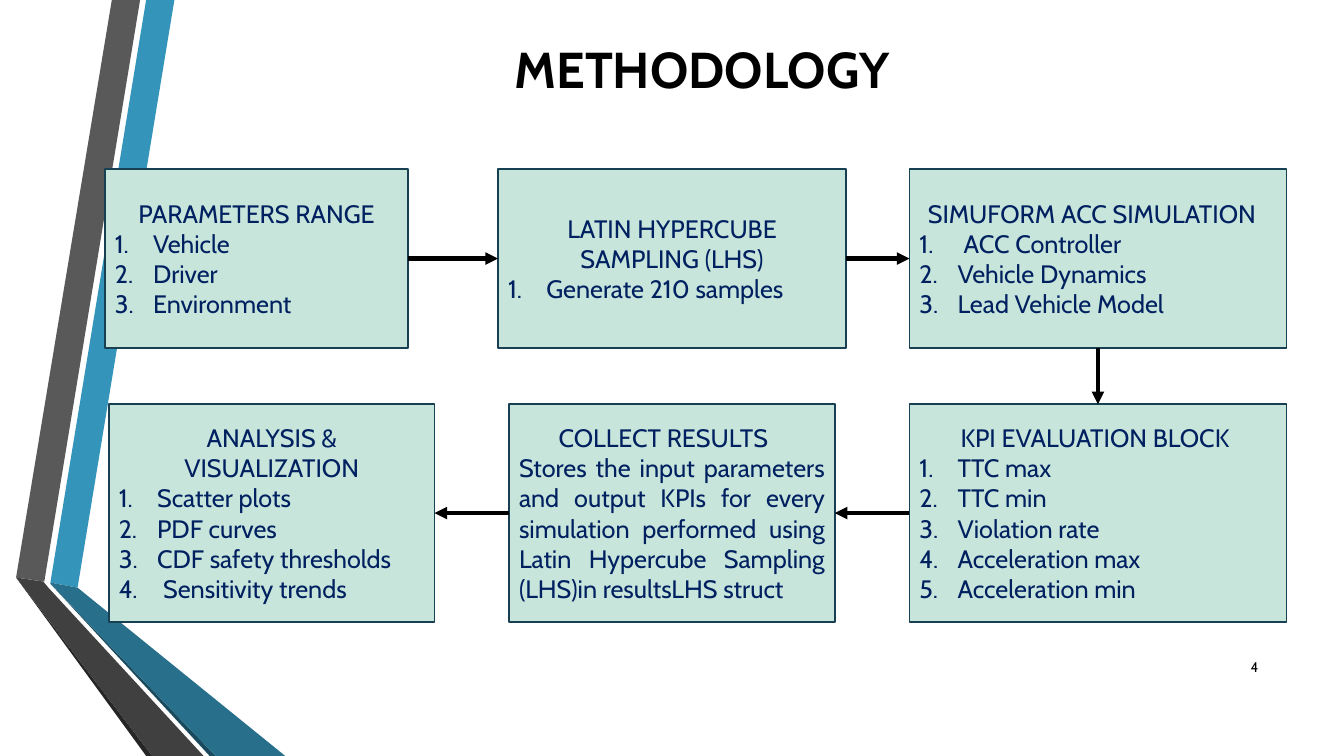
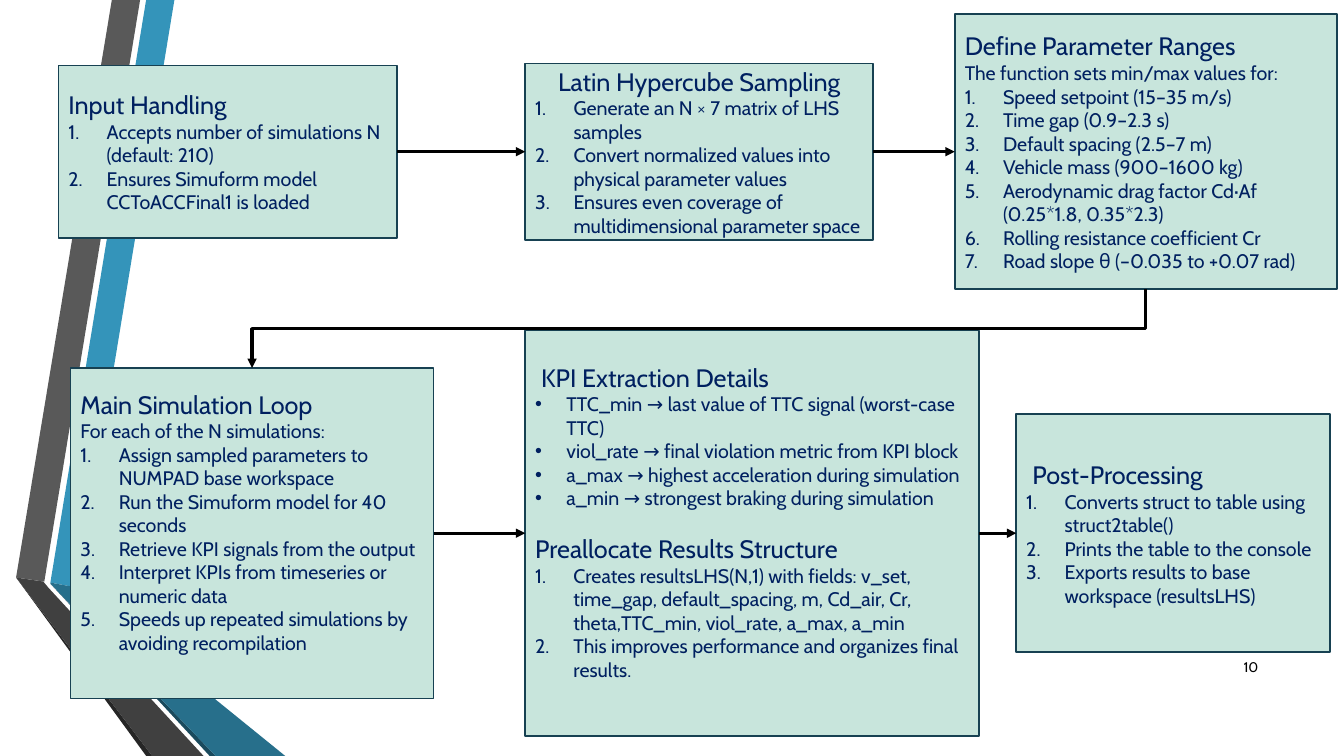
"""Build two flowchart slides on the method and the workflow of a simulation study."""
import dataclasses

import lxml.etree
import pptx
import pptx.dml.color
import pptx.enum.shapes
import pptx.enum.text
import pptx.oxml.ns
import pptx.util

PX = 9144
ALIGN = pptx.enum.text.PP_ALIGN
CONNECTOR = pptx.enum.shapes.MSO_CONNECTOR
MIDDLE = pptx.enum.text.MSO_ANCHOR.MIDDLE
qn = pptx.oxml.ns.qn


@dataclasses.dataclass(frozen=True)
class Theme:
    font: str = "Cabin"
    ink: str = "000000"
    text: str = "002060"
    box: str = "C8E5DC"
    border: str = "174152"
    blue: str = "3494BA"
    blue_mid: str = "276F8B"
    blue_dark: str = "1A4A5D"
    grey: str = "595959"
    grey_mid: str = "404040"
    grey_dark: str = "262626"
    title_size: int = 36
    head_size: int = 18
    body_size: int = 14
    number_size: int = 10


theme = Theme()


def rgb(color):
    return pptx.dml.color.RGBColor.from_string(color)


def write(p, text, size, color=theme.text, bold=False, align=ALIGN.LEFT,
          left=0, hang=0, right=0, bullet=None, before=0):
    p.alignment = align
    p.space_before = pptx.util.Pt(before)
    pPr = p._p.get_or_add_pPr()
    pPr.set("marL", str((left + hang) * PX))
    pPr.set("marR", str(right * PX))
    pPr.set("indent", str(-hang * PX))
    if bullet == "1.":
        lxml.etree.SubElement(pPr, qn("a:buAutoNum"), type="arabicPeriod")
    elif bullet:
        lxml.etree.SubElement(pPr, qn("a:buFont"), typeface="Arial")
        lxml.etree.SubElement(pPr, qn("a:buChar"), char=bullet)
    r = p.add_run()
    r.text = text
    r.font.name = theme.font
    r.font.size = pptx.util.Pt(size)
    r.font.bold = bold
    r.font.color.rgb = rgb(color)


HEAD = dict(size=theme.head_size)
HEAD_IN = HEAD | dict(left=6)
HEAD_GAP = HEAD | dict(before=17)
HEAD_MID = HEAD | dict(align=ALIGN.CENTER)
JUSTIFIED = HEAD | dict(align=ALIGN.JUSTIFY)
STEP = HEAD | dict(hang=38, bullet="1.")
BODY = dict(size=theme.body_size)
ITEM = BODY | dict(hang=38, bullet="1.")
DOT = BODY | dict(hang=31, bullet="•")

BANDS = [
    (theme.blue, [(50, 578), (77, 583), (173, 0), (145, 0)]),
    (theme.grey, [(139, 0), (111, 0), (16, 573), (44, 577)]),
    (theme.grey_dark, [(16, 573), (145, 750), (151, 750)]),
    (theme.blue_dark, [(50, 579), (208, 750), (214, 750)]),
    (theme.blue_mid, [(50, 578), (50, 579), (214, 750), (283, 750), (77, 583)]),
    (theme.grey_mid, [(202, 750), (48, 583), (43, 577), (16, 573), (151, 750)]),
]

METHOD_BOXES = [
    (104, 168, 301, 177, 5, [
        (HEAD_MID, ["PARAMETERS RANGE"]),
        (STEP, ["Vehicle", "Driver", "Environment"])]),
    (494, 168, 345, 177, 5, [
        (HEAD_MID, ["LATIN HYPERCUBE SAMPLING (LHS)"]),
        (STEP, ["Generate 210 samples"])]),
    (902, 168, 374, 177, 5, [
        (HEAD_MID | dict(right=12), ["SIMUFORM ACC SIMULATION"]),
        (STEP | dict(hang=44), ["ACC Controller"]),
        (STEP, ["Vehicle Dynamics", "Lead Vehicle Model"])]),
    (902, 401, 374, 216, 5, [
        (HEAD_MID | dict(right=6), ["KPI EVALUATION BLOCK"]),
        (STEP, ["TTC max", "TTC min", "Violation rate", "Acceleration max",
                "Acceleration min"])]),
    (505, 401, 323, 216, 5, [
        (HEAD_MID | dict(right=17), ["COLLECT RESULTS"]),
        (JUSTIFIED, ["Stores the input parameters and output KPIs for every simulation "
                     "performed using Latin Hypercube Sampling (LHS)in resultsLHS struct"])]),
    (108, 401, 323, 216, 5, [
        (HEAD_MID, ["ANALYSIS & VISUALIZATION"]),
        (STEP, ["Scatter plots", "PDF curves", "CDF safety thresholds"]),
        (STEP | dict(hang=44), ["Sensitivity trends"])]),
]

WORKFLOW_BOXES = [
    (58, 65, 336, 171, 5, [
        (HEAD, ["Input Handling"]),
        (ITEM, ["Accepts number of simulations N (default: 210)",
                "Ensures Simuform model CCToACCFinal1 is loaded"])]),
    (521, 63, 345, 175, 5, [
        (HEAD_MID, ["Latin Hypercube Sampling"]),
        (ITEM, ["Generate an N × 7 matrix of LHS samples",
                "Convert normalized values into physical parameter values",
                "Ensures even coverage of multidimensional parameter space"])]),
    (947, 14, 379, 273, 5, [
        (HEAD, ["Define Parameter Ranges"]),
        (BODY, ["The function sets min/max values for:"]),
        (ITEM, ["Speed setpoint (15–35 m/s)", "Time gap (0.9–2.3 s)",
                "Default spacing (2.5–7 m)", "Vehicle mass (900–1600 kg)",
                "Aerodynamic drag factor Cd·Af (0.25*1.8, 0.35*2.3)",
                "Rolling resistance coefficient Cr",
                "Road slope θ (–0.035 to +0.07 rad)"])]),
    (70, 365, 360, 328, 28, [
        (HEAD, ["Main Simulation Loop"]),
        (BODY, ["For each of the N simulations:"]),
        (ITEM, ["Assign sampled parameters to NUMPAD base workspace",
                "Run the Simuform model for 40 seconds",
                "Retrieve KPI signals from the output",
                "Interpret KPIs from timeseries or numeric data",
                "Speeds up repeated simulations by avoiding recompilation"])]),
    (521, 328, 450, 402, 28, [
        (HEAD_IN, ["KPI Extraction Details"]),
        (DOT, ["TTC_min → last value of TTC signal (worst-case TTC)",
               "viol_rate → final violation metric from KPI block",
               "a_max → highest acceleration during simulation",
               "a_min → strongest braking during simulation"]),
        (HEAD_GAP, ["Preallocate Results Structure"]),
        (ITEM, ["Creates resultsLHS(N,1) with fields: v_set, time_gap, default_spacing, m, "
                "Cd_air, Cr, theta,TTC_min, viol_rate, a_max, a_min",
                "This improves performance and organizes final results."])]),
    (1008, 411, 311, 236, 5, [
        (HEAD_IN, ["Post-Processing"]),
        (ITEM, ["Converts struct to table using struct2table()",
                "Prints the table to the console",
                "Exports results to base workspace (resultsLHS)"])]),
]

TOP, LEFT, BOTTOM, RIGHT = range(4)
TITLE_ONLY, BLANK = 5, 6
SLIDES = [
    ("METHODOLOGY", "4", METHOD_BOXES, 3,
     [(RIGHT, LEFT), (RIGHT, LEFT), (BOTTOM, TOP), (LEFT, RIGHT), (LEFT, RIGHT)]),
    (None, "10", WORKFLOW_BOXES, 2.25,
     [(RIGHT, LEFT), (RIGHT, LEFT), (BOTTOM, TOP), (RIGHT, LEFT), (RIGHT, LEFT)]),
]

prs = pptx.Presentation()
prs.slide_width, prs.slide_height = 1333 * PX, 750 * PX

for title, number, boxes, weight, arrows in SLIDES:
    s = prs.slides.add_slide(prs.slide_layouts[TITLE_ONLY if title else BLANK])

    if len(prs.slides) == 1:
        for i, (color, points) in enumerate(BANDS):
            builder = s.shapes.build_freeform(*points[0], scale=PX)
            builder.add_line_segments(points[1:], close=True)
            sp = builder.convert_to_shape()
            sp.shadow.inherit = False
            sp.fill.solid()
            sp.fill.fore_color.rgb = rgb(color)
            sp.line.fill.background()
            sp.element.nvSpPr.cNvPr.set("id", str(20 + i))
            prs.slide_master.shapes.element.insert(2 + i, sp.element)

    if title:
        sp = s.shapes.title
        sp.left, sp.top, sp.width, sp.height = 461 * PX, 5 * PX, 471 * PX, 125 * PX
        sp.text_frame.vertical_anchor = MIDDLE
        write(sp.text_frame.paragraphs[0], title, theme.title_size, theme.ink,
              bold=True, align=ALIGN.CENTER)

    sp = s.shapes.add_textbox(1198 * PX, 642 * PX, 60 * PX, 40 * PX)
    tf = sp.text_frame
    tf.word_wrap = True
    tf.vertical_anchor = MIDDLE
    write(tf.paragraphs[0], number, theme.number_size, theme.ink, align=ALIGN.RIGHT)

    nodes = []
    for x, y, w, h, inset, groups in boxes:
        sp = s.shapes.add_shape(pptx.enum.shapes.MSO_SHAPE.RECTANGLE,
                                x * PX, y * PX, w * PX, h * PX)
        sp.shadow.inherit = False
        sp.fill.solid()
        sp.fill.fore_color.rgb = rgb(theme.box)
        sp.line.color.rgb = rgb(theme.border)
        sp.line.width = pptx.util.Pt(1.25)
        tf = sp.text_frame
        tf.word_wrap = True
        tf.vertical_anchor = MIDDLE
        tf.margin_bottom = inset * PX
        lines = [(text, style) for style, texts in groups for text in texts]
        for i, (text, style) in enumerate(lines):
            write(tf.add_paragraph() if i else tf.paragraphs[0], text, **style)
        nodes.append(sp)

    for start, end, (exit_side, entry_side) in zip(nodes, nodes[1:], arrows):
        bent = exit_side == BOTTOM and start.left != end.left
        c = s.shapes.add_connector(CONNECTOR.ELBOW if bent else CONNECTOR.STRAIGHT, 0, 0, 0, 0)
        c.begin_connect(start, exit_side)
        c.end_connect(end, entry_side)
        if bent:
            mid_x, mid_y = (c.begin_x + c.end_x) // 2, (c.begin_y + c.end_y) // 2
            w, h = c.end_y - c.begin_y, c.begin_x - c.end_x
            c.left, c.top, c.width, c.height = mid_x - w // 2, mid_y - h // 2, w, h
            xfrm = c.element.spPr.find(qn("a:xfrm"))
            xfrm.set("flipH", "0")
            xfrm.set("rot", "5400000")
        c.line.color.rgb = rgb(theme.ink)
        c.line.width = pptx.util.Pt(weight)
        lxml.etree.SubElement(c.line._get_or_add_ln(), qn("a:tailEnd"), type="triangle")
        lxml.etree.SubElement(c.element.spPr, qn("a:effectLst"))

prs.save("out.pptx")
